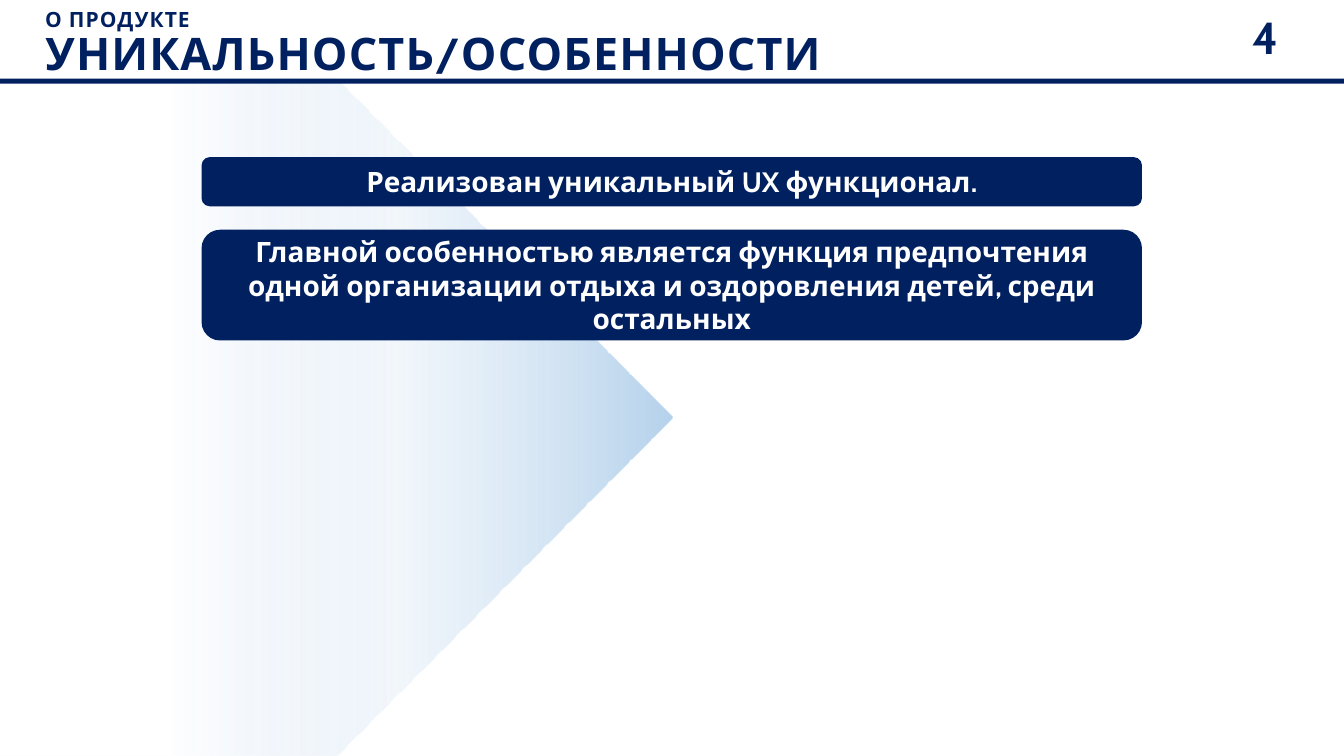
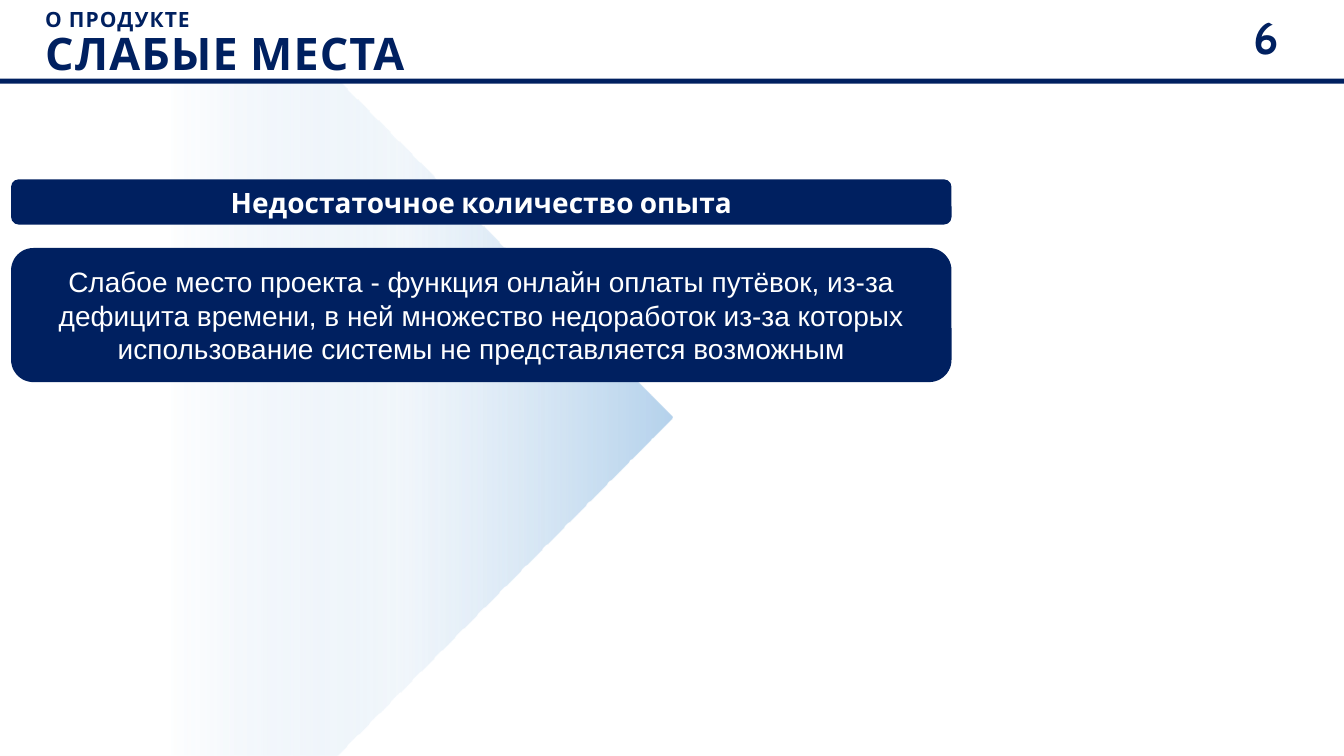
"""Build two slides on the strengths and the weak points of a product."""
from lxml.etree import SubElement
from pptx import Presentation
from pptx.dml.color import RGBColor
from pptx.enum.shapes import MSO_SHAPE
from pptx.enum.text import MSO_ANCHOR, MSO_AUTO_SIZE, PP_ALIGN
from pptx.oxml.ns import qn
from pptx.util import Cm, Pt

NAVY = RGBColor(0x00, 0x20, 0x60)
WHITE = RGBColor(0xFF, 0xFF, 0xFF)
LIGHT = RGBColor(0xB5, 0xD2, 0xEC)
PALE = RGBColor(0xCE, 0xE1, 0xF2)
BLUE = RGBColor(0x75, 0xAB, 0xDC)
FADE = [(0, LIGHT, 100), (41, PALE, 27), (75, BLUE, 0)]
WIDE, HIGH = 33.87, 19.05
TOP = 1.98
GAP = 0.59

SLIDES = [
    ("4", "УНИКАЛЬНОСТЬ/ОСОБЕННОСТИ", 5.08, 3.96, [
        (1.24, "Реализован уникальный UX функционал.", {}),
        (2.79, "Главной особенностью является функция предпочтения одной "
               "организации отдыха и оздоровления детей, среди остальных", {}),
    ]),
    ("6", "СЛАБЫЕ МЕСТА", 0.28, 4.52, [
        (1.14, "Недостаточное количество опыта", {}),
        (3.38, "Слабое место проекта - функция онлайн оплаты путёвок, из-за "
               "дефицита времени, в ней множество недоработок из-за которых "
               "использование системы не представляется возможным",
         {"font": "Arial", "bold": False}),
    ]),
]


def write(frame, text, size=20, font="Cabin", color=WHITE, bold=True,
          align=PP_ALIGN.CENTER, line=None, space=0):
    """Add one paragraph of text to a frame."""
    para = frame.add_paragraph() if frame.text else frame.paragraphs[0]
    para.alignment = align
    para.line_spacing = line
    run = para.add_run()
    run.text = text
    run.font.name = font
    run.font.size = Pt(size)
    run.font.bold = bold
    run.font.color.rgb = color
    if space:
        run.font._element.set("spc", str(space))


def draw(slide, kind, left, top, width, height):
    """Add a plain navy shape."""
    shape = slide.shapes.add_shape(kind, Cm(left), Cm(top), Cm(width), Cm(height))
    shape.shadow.inherit = False
    shape.fill.solid()
    shape.fill.fore_color.rgb = NAVY
    shape.line.fill.background()
    return shape


deck = Presentation()
deck.slide_width, deck.slide_height = Cm(WIDE), Cm(HIGH)

for number, name, left, top, notes in SLIDES:
    slide = deck.slides.add_slide(deck.slide_layouts[5])

    plate = draw(slide, MSO_SHAPE.PENTAGON, 0, TOP, WIDE / 2, HIGH - TOP)
    plate.fill.gradient()
    plate.fill.gradient_angle = 180
    stops = plate._element.spPr.find(".//" + qn("a:gsLst"))
    stops.clear()
    for place, color, alpha in FADE:
        stop = SubElement(stops, qn("a:gs"), pos=str(place * 1000))
        tint = SubElement(stop, qn("a:srgbClr"), val=str(color))
        SubElement(tint, qn("a:alpha"), val=str(alpha * 1000))

    draw(slide, MSO_SHAPE.RECTANGLE, 0, TOP, WIDE, 0.13)

    title = slide.shapes.title
    title.left, title.top, title.width, title.height = Cm(1.14), Cm(0.23), Cm(29), Cm(1.8)
    frame = title.text_frame
    frame.margin_left = frame.margin_right = frame.margin_top = frame.margin_bottom = 0
    frame.vertical_anchor = MSO_ANCHOR.TOP
    frame.auto_size = MSO_AUTO_SIZE.NONE
    for text, size in [("О ПРОДУКТЕ", 15), (name, 32)]:
        write(frame, text, size=size, color=NAVY, align=PP_ALIGN.LEFT, line=0.9, space=80)

    box = slide.shapes.add_textbox(Cm(30.23), Cm(0.43), Cm(3.35), Cm(1.27))
    box.text_frame.word_wrap = True
    write(box.text_frame, number, size=32, color=NAVY, line=0.75, space=80)

    for height, text, style in notes:
        card = draw(slide, MSO_SHAPE.ROUNDED_RECTANGLE, left, top, 23.7, height)
        card.text_frame.word_wrap = True
        card.text_frame.vertical_anchor = MSO_ANCHOR.MIDDLE
        write(card.text_frame, text, **style)
        top += height + GAP

deck.save("out.pptx")
